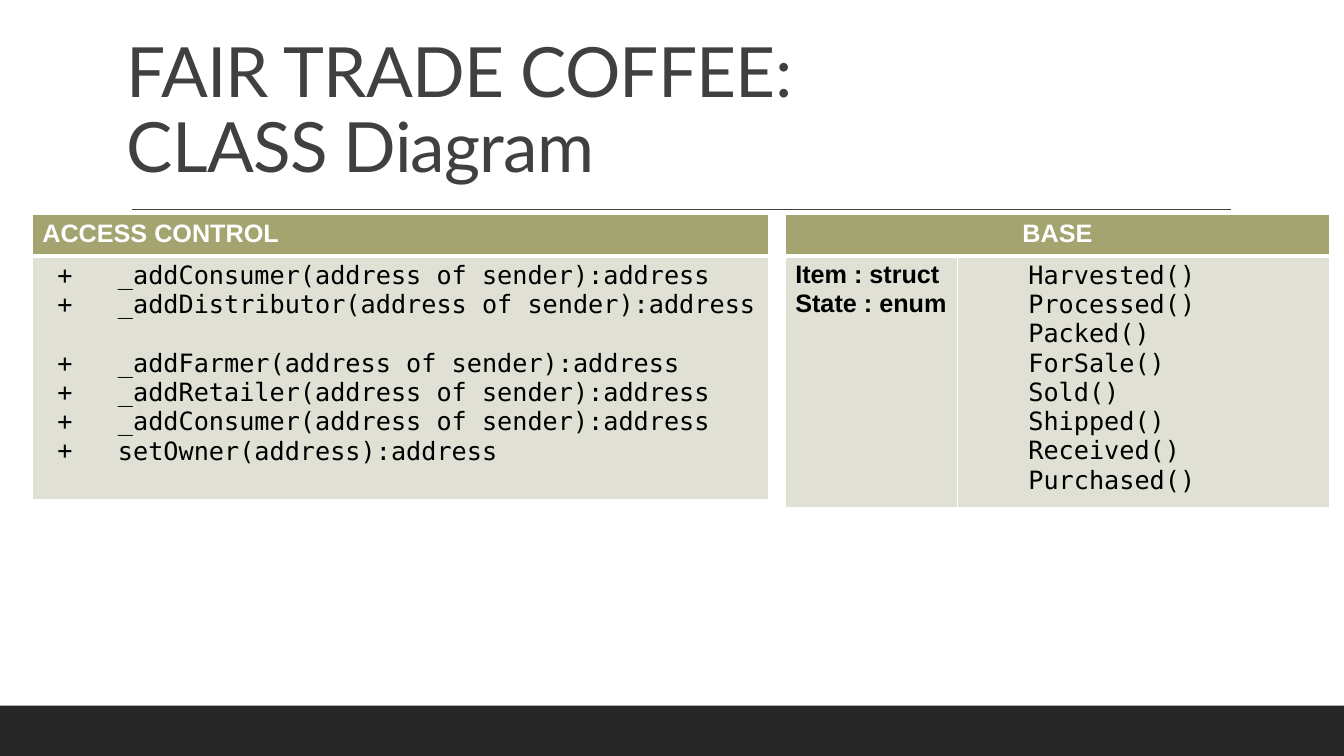
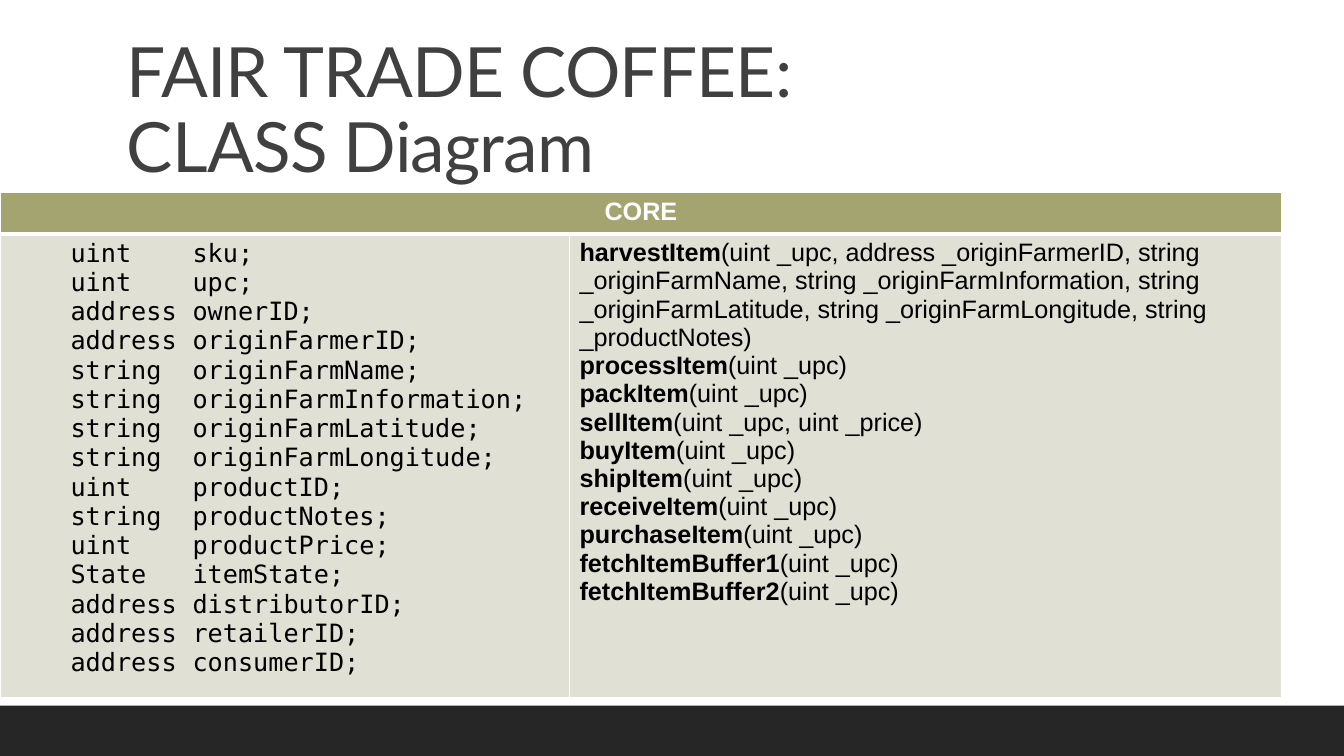
from dataclasses import dataclass

from lxml import etree
from pptx import Presentation
from pptx.dml.color import RGBColor
from pptx.enum.shapes import MSO_CONNECTOR, MSO_SHAPE
from pptx.enum.text import MSO_ANCHOR, PP_ALIGN
from pptx.oxml.ns import qn
from pptx.util import Inches, Pt

RECTANGLE = MSO_SHAPE.RECTANGLE
STRAIGHT = MSO_CONNECTOR.STRAIGHT
BOTTOM = MSO_ANCHOR.BOTTOM
LEFT, CENTER = PP_ALIGN.LEFT, PP_ALIGN.CENTER
COLUMNS, ROWS = 160, 90
UNIT = Inches(7.5) // ROWS
HEADER_ROWS = 4.92


@dataclass(frozen=True)
class Theme:
    ink: str = "404040"
    band: str = "262626"
    header: str = "A3A470"
    body: str = "E0E0D5"
    light: str = "FFFFFF"
    dark: str = "000000"
    title_font: str = "Lato"
    sans: str = "Arial"
    mono: str = "DejaVu Sans Mono"
    title_size: float = 49.5
    text_size: float = 18
    thin: float = 1
    thick: float = 3


THEME = Theme()


@dataclass
class Member:
    name: str
    rest: str = ""
    gap_after: float = 0


@dataclass
class Compartment:
    columns: float
    members: list
    font: str = THEME.sans
    bold: bool = True
    margin: float = 0
    indent: float = 0
    bullet: str = ""


def grid(value):
    return round(value * UNIT)


def rgb(value):
    return RGBColor.from_string(value)


def apply(target, formats):
    for attribute, value in formats.items():
        setattr(target, attribute, value)


class ClassDeck:
    def __init__(self, theme):
        self.theme = theme
        self.deck = Presentation()
        apply(self.deck, {"slide_width": grid(COLUMNS), "slide_height": grid(ROWS)})
        self.slide = None

    def new_slide(self, title):
        self.slide = self.deck.slides.add_slide(self.deck.slide_layouts[6])
        self.footer_band()
        self.title(title)

    def footer_band(self):
        band = self.slide.shapes.add_shape(RECTANGLE, 0, grid(84), grid(COLUMNS), grid(6))
        band.shadow.inherit = False
        band.fill.solid()
        band.fill.fore_color.rgb = rgb(self.theme.band)
        band.line.fill.background()

    def title(self, text):
        heading = self.slide.shapes.add_textbox(*map(grid, (13.92, 3.72, 132.12, 19.2)))
        frame = heading.text_frame
        apply(frame, {"word_wrap": True, "vertical_anchor": BOTTOM})
        paragraph = frame.paragraphs[0]
        paragraph.text = text
        paragraph.line_spacing = 0.9
        for run in paragraph.runs:
            self.style(run.font, self.theme.ink, name=self.theme.title_font,
                       size=Pt(self.theme.title_size))
            run.font._element.set("spc", "-50")

    def title_rule(self):
        rule = self.slide.shapes.add_connector(STRAIGHT, *map(grid, (15.72, 24.96, 146.52, 24.96)))
        rule.line.width = Pt(self.theme.thin)
        rule.line.color.rgb = rgb(self.theme.ink)
        etree.SubElement(rule._element.spPr, qn("a:effectLst"))

    def class_table(self, heading, left, top, body_rows, compartments, align=CENTER):
        widths = [compartment.columns for compartment in compartments]
        table = self.slide.shapes.add_table(
            2, len(widths), grid(left), grid(top),
            grid(sum(widths)), grid(HEADER_ROWS + body_rows)).table
        for row, height in zip(table.rows, (HEADER_ROWS, body_rows)):
            row.height = grid(height)
        for column, width in zip(table.columns, widths):
            column.width = grid(width)
        thin, thick = self.theme.thin, self.theme.thick
        for header, body in zip(table.rows[0].cells, table.rows[1].cells):
            self.paint(header, self.theme.header, (thin, thin, thin, thick))
            self.paint(body, self.theme.body, (thin, thin, thick, thin))
        if len(widths) > 1:
            table.cell(0, 0).merge(table.cell(0, len(widths) - 1))
        label = table.cell(0, 0).text_frame.paragraphs[0]
        label.alignment = align
        self.add_run(label, heading, self.theme.light, self.theme.sans, True)
        for cell, compartment in zip(table.rows[1].cells, compartments):
            self.fill_compartment(cell.text_frame, compartment)

    def paint(self, cell, color, border_widths):
        properties = cell._tc.get_or_add_tcPr()
        for side, width in zip(("lnL", "lnR", "lnT", "lnB"), border_widths):
            border = etree.SubElement(properties, qn(f"a:{side}"), w=str(Pt(width)))
            fill = etree.SubElement(border, qn("a:solidFill"))
            etree.SubElement(fill, qn("a:srgbClr"), val=self.theme.light)
        cell.fill.solid()
        cell.fill.fore_color.rgb = rgb(color)

    def fill_compartment(self, frame, compartment):
        for index, member in enumerate(compartment.members):
            paragraph = frame.add_paragraph() if index else frame.paragraphs[0]
            properties = paragraph._p.get_or_add_pPr()
            properties.set("marL", str(Inches(compartment.margin)))
            properties.set("indent", str(Inches(compartment.indent)))
            if compartment.bullet:
                etree.SubElement(properties, qn("a:buFont"), typeface=compartment.font)
                etree.SubElement(properties, qn("a:buChar"), char=compartment.bullet)
            if member.gap_after:
                paragraph.space_after = Pt(member.gap_after)
            for text, bold in ((member.name, compartment.bold), (member.rest, False)):
                if text:
                    self.add_run(paragraph, text, self.theme.dark, compartment.font, bold)

    def add_run(self, paragraph, text, color, font, bold):
        run = paragraph.add_run()
        run.text = text
        self.style(run.font, color, name=font, size=Pt(self.theme.text_size), bold=bold)

    def style(self, font, color, **formats):
        apply(font, formats)
        font.color.rgb = rgb(color)


TITLE = "FAIR TRADE COFFEE:\vCLASS Diagram"

ROLE_SETTERS = [
    Member("_addConsumer(address of sender):address"),
    Member("_addDistributor(address of sender):address", gap_after=21),
    Member("_addFarmer(address of sender):address"),
    Member("_addRetailer(address of sender):address"),
    Member("_addConsumer(address of sender):address"),
    Member("setOwner(address):address"),
]

BASE_TYPES = [Member("Item : struct"), Member("State : enum")]

BASE_EVENTS = [Member(f"{event}()") for event in (
    "Harvested", "Processed", "Packed", "ForSale",
    "Sold", "Shipped", "Received", "Purchased")]

CORE_FIELDS = [Member(f"{kind}\t{field};") for kind, field in (
    ("uint", "sku"),
    ("uint", "upc"),
    ("address", "ownerID"),
    ("address", "originFarmerID"),
    ("string", "originFarmName"),
    ("string", "originFarmInformation"),
    ("string", "originFarmLatitude"),
    ("string", "originFarmLongitude"),
    ("uint", "productID"),
    ("string", "productNotes"),
    ("uint", "productPrice"),
    ("State", "itemState"),
    ("address", "distributorID"),
    ("address", "retailerID"),
    ("address", "consumerID"))]

HARVEST_ARGUMENTS = (
    "uint _upc, address _originFarmerID, string _originFarmName, "
    "string _originFarmInformation, string _originFarmLatitude, "
    "string _originFarmLongitude, string _productNotes")

CORE_METHODS = [Member(method, f"({arguments})") for method, arguments in (
    ("harvestItem", HARVEST_ARGUMENTS),
    ("processItem", "uint _upc"),
    ("packItem", "uint _upc"),
    ("sellItem", "uint _upc, uint _price"),
    ("buyItem", "uint _upc"),
    ("shipItem", "uint _upc"),
    ("receiveItem", "uint _upc"),
    ("purchaseItem", "uint _upc"),
    ("fetchItemBuffer1", "uint _upc"),
    ("fetchItemBuffer2", "uint _upc"))]


def main():
    diagram = ClassDeck(THEME)

    diagram.new_slide(TITLE)
    diagram.title_rule()
    diagram.class_table("BASE", 93.48, 25.56, 29, [
        Compartment(20.55, BASE_TYPES),
        Compartment(44.25, BASE_EVENTS, THEME.mono, False, margin=0.6),
    ])
    diagram.class_table("ACCESS CONTROL", 3.84, 25.56, 29, [
        Compartment(87.6, ROLE_SETTERS, THEME.mono, False,
                    margin=0.75, indent=-0.6, bullet="+"),
    ], LEFT)

    diagram.new_slide(TITLE)
    diagram.class_table("CORE", 0, 22.92, 53.5, [
        Compartment(67.8, CORE_FIELDS, THEME.mono, False, margin=1.81, indent=-1.21),
        Compartment(84.8, CORE_METHODS),
    ])

    diagram.deck.save("out.pptx")


if __name__ == "__main__":
    main()
